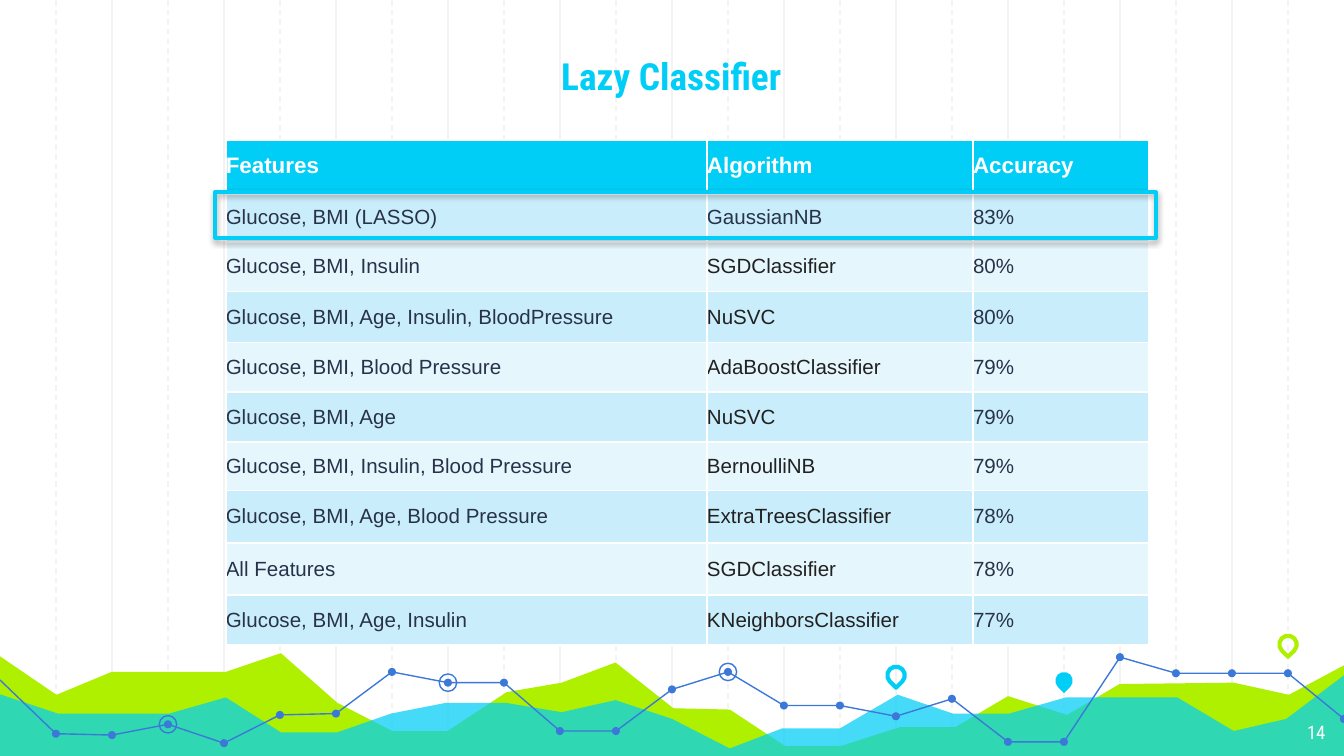
"""Builds the Lazy Classifier results slide."""
from dataclasses import dataclass
from typing import Optional

from lxml.etree import SubElement
from pptx import Presentation
from pptx.dml.color import RGBColor
from pptx.enum.dml import MSO_LINE
from pptx.enum.shapes import MSO_CONNECTOR, MSO_SHAPE
from pptx.enum.text import MSO_ANCHOR, PP_ALIGN
from pptx.oxml.ns import qn
from pptx.util import Inches, Pt

CYAN, LIME, BLUE, WHITE = "00CEF6", "AFF000", "3C78D8", "FFFFFF"
GRID, NAVY, CHARCOAL = "F3F3F3", "28324A", "212121"
BANDS = ("CAEDFB", "E6F6FD")
STEP = 10 / 24
Points = list[tuple[float, float]]


@dataclass
class Area:
    color: str
    base: float
    outline: Points
    alpha: Optional[int] = None


@dataclass
class Pin:
    column: int
    top: float
    color: str
    hollow: bool


@dataclass
class Label:
    text: str
    box: tuple[float, float, float, float]
    size: int
    color: str
    align: PP_ALIGN
    anchor: MSO_ANCHOR
    bold: bool = False
    wrap: bool = True


@dataclass
class Result:
    features: str
    algorithm: str
    accuracy: str


AREAS = [
    Area(LIME, 5.64, [
        (-0.02, 4.87), (0.42, 5.17), (0.83, 5), (1.68, 5), (2.09, 4.86), (2.51, 5.23),
        (2.92, 5.44), (3.33, 5.44), (3.77, 5.15), (4.18, 5.08), (4.58, 4.93), (5.01, 5.27),
        (5.43, 5.28), (5.84, 5.55), (6.26, 5.55), (6.7, 5.41), (7.11, 5.41), (7.5, 5.18),
        (7.94, 5.32), (8.33, 5.09), (9.18, 5.08), (9.59, 5.17), (10.02, 4.94)]),
    Area(CYAN, 5.65, [
        (-0.02, 5.16), (0.43, 5.31), (1.26, 5.31), (1.68, 5.19), (2.09, 5.45), (2.51, 5.45),
        (2.91, 5.31), (3.32, 5.23), (3.76, 5.23), (4.18, 5.3), (4.58, 5.21), (5, 5.35),
        (5.43, 5.57), (5.82, 5.42), (6.25, 5.42), (6.68, 5.17), (7.09, 5.31), (7.51, 5.31),
        (7.93, 5.19), (8.76, 5.19), (9.18, 5.44), (9.57, 5.35), (10.02, 5.01)], 73),
]
TREND = [5.06, 5.46, 5.47, 5.39, 5.53, 5.32, 5.31, 5, 5.08, 5.08, 5.44, 5.44, 5.13,
         5, 5.25, 5.25, 5.33, 5.2, 5.52, 5.52, 4.89, 5.01, 5.01, 5.01, 5.35]
RINGED = (3, 8, 13)
PINS = [Pin(5, 4.65, LIME, False), Pin(16, 4.96, CYAN, True),
        Pin(19, 5, CYAN, False), Pin(23, 4.73, LIME, True)]
LABELS = [
    Label("Lazy Classifier", (1.17, 0.05, 7.65, 0.78), 20, CYAN,
          PP_ALIGN.CENTER, MSO_ANCHOR.BOTTOM, bold=True),
    Label("14", (9.59, 5.28, 0.37, 0.37), 10, WHITE,
          PP_ALIGN.RIGHT, MSO_ANCHOR.TOP, wrap=False),
]
HEADER = Result("Features", "Algorithm", "Accuracy")
RESULTS = [
    Result("Glucose, BMI (LASSO)", "GaussianNB", "83%"),
    Result("Glucose, BMI, Insulin", "SGDClassifier", "80%"),
    Result("Glucose, BMI, Age, Insulin, BloodPressure", "NuSVC", "80%"),
    Result("Glucose, BMI, Blood Pressure", "AdaBoostClassifier", "79%"),
    Result("Glucose, BMI, Age", "NuSVC", "79%"),
    Result("Glucose, BMI, Insulin, Blood Pressure", "BernoulliNB", "79%"),
    Result("Glucose, BMI, Age, Blood Pressure", "ExtraTreesClassifier", "78%"),
    Result("All Features", "SGDClassifier", "78%"),
    Result("Glucose, BMI, Age, Insulin", "KNeighborsClassifier", "77%"),
]
WIDTHS = (3.58, 1.98, 1.31)
HEIGHTS = (0.39, 0.37, 0.37, 0.38, 0.37, 0.37, 0.36, 0.39, 0.39, 0.37)


def paint(target, color: str, alpha: Optional[int] = None) -> None:
    target.solid()
    target.fore_color.rgb = RGBColor.from_string(color)
    if alpha is not None:
        srgb = target._xPr.find(qn("a:solidFill")).find(qn("a:srgbClr"))
        SubElement(srgb, qn("a:alpha"), val=str(alpha * 1000))


def style(shape, fill: Optional[str] = None, line: Optional[str] = None,
          width: float = 0.75, alpha: Optional[int] = None) -> None:
    shape.shadow.inherit = False
    if fill:
        paint(shape.fill, fill, alpha)
    else:
        shape.fill.background()
    if line:
        paint(shape.line.fill, line)
        shape.line.width = Pt(width)
    else:
        shape.line.fill.background()


def add_grid_line(shapes, column: int) -> None:
    x = Inches(column * STEP)
    rule = shapes.add_connector(MSO_CONNECTOR.STRAIGHT, x, 0, x, Inches(5.65))
    paint(rule.line.fill, GRID)
    rule.line.width = Pt(0.75)
    if column % 2:
        rule.line.dash_style = MSO_LINE.DASH
    SubElement(rule._element.spPr, qn("a:effectLst"))


def add_outline(shapes, points: Points, close: bool):
    (x, y), *rest = [(Inches(x), Inches(y)) for x, y in points]
    builder = shapes.build_freeform(x, y)
    builder.add_line_segments(rest, close=close)
    return builder.convert_to_shape()


def add_circle(shapes, column: int, size: float):
    left, top = column * STEP - size / 2, TREND[column] - size / 2
    return shapes.add_shape(MSO_SHAPE.OVAL, Inches(left), Inches(top), Inches(size), Inches(size))


def add_pin(shapes, pin: Pin) -> None:
    drop = shapes.add_shape(MSO_SHAPE.TEAR, Inches(pin.column * STEP - 0.065),
                            Inches(pin.top), Inches(0.13), Inches(0.13))
    drop.rotation = 135
    style(drop, None if pin.hollow else pin.color, pin.color if pin.hollow else None, 2.25)


def format_run(run, size: int, color: str, font: str, bold: bool) -> None:
    run.font.size, run.font.name, run.font.bold = Pt(size), font, bold
    run.font.color.rgb = RGBColor.from_string(color)


def add_label(shapes, label: Label) -> None:
    frame = shapes.add_textbox(*map(Inches, label.box)).text_frame
    frame.text = label.text
    frame.word_wrap, frame.vertical_anchor = label.wrap, label.anchor
    frame.margin_left = frame.margin_right = frame.margin_top = frame.margin_bottom = Inches(0.1)
    frame.paragraphs[0].alignment = label.align
    format_run(frame.paragraphs[0].runs[0], label.size, label.color, "Roboto Condensed", label.bold)


def fill_cell(cell, text: str, row: int, column: int) -> None:
    cell.text = text
    cell.vertical_anchor = MSO_ANCHOR.MIDDLE
    cell.margin_left = cell.margin_right = cell.margin_top = cell.margin_bottom = 0
    ink = WHITE if row == 0 else CHARCOAL if column == 1 and row > 1 else NAVY
    format_run(cell.text_frame.paragraphs[0].runs[0], 11 if row else 12, ink, "Arial", row == 0)
    properties = cell._tc.get_or_add_tcPr()
    for side in ("L", "R", "T", "B"):
        heavy = (row, side) in ((0, "B"), (1, "T"))
        border = SubElement(properties, qn(f"a:ln{side}"), w=str(Pt(3 if heavy else 1)))
        SubElement(SubElement(border, qn("a:solidFill")), qn("a:srgbClr"), val=WHITE)
    paint(cell.fill, BANDS[(row - 1) % 2] if row else CYAN)


def add_results(shapes) -> None:
    table = shapes.add_table(len(HEIGHTS), len(WIDTHS), Inches(1.68), Inches(1.04),
                             Inches(sum(WIDTHS)), Inches(sum(HEIGHTS))).table
    for column, width in enumerate(WIDTHS):
        table.columns[column].width = Inches(width)
    for row, (height, result) in enumerate(zip(HEIGHTS, [HEADER, *RESULTS])):
        table.rows[row].height = Inches(height)
        for column, text in enumerate((result.features, result.algorithm, result.accuracy)):
            fill_cell(table.cell(row, column), text, row, column)


def add_highlight(shapes) -> None:
    frame = shapes.add_shape(MSO_SHAPE.RECTANGLE, Inches(1.6), Inches(1.43), Inches(7), Inches(0.34))
    style(frame, line=CYAN, width=2)
    shadow = SubElement(frame._element.spPr.find(qn("a:effectLst")), qn("a:outerShdw"),
                        blurRad=str(Pt(3)), dist=str(Pt(1.8)), dir="5400000", rotWithShape="0")
    SubElement(SubElement(shadow, qn("a:srgbClr"), val="000000"), qn("a:alpha"), val="35000")


deck = Presentation()
deck.slide_width, deck.slide_height = Inches(10), Inches(10 * 9 / 16)
shapes = deck.slides.add_slide(deck.slide_layouts[6]).shapes
for column in [*range(2, 24, 2), *range(1, 24, 2)]:
    add_grid_line(shapes, column)
for area in AREAS:
    corners = [(10.02, area.base), (-0.03, area.base)]
    style(add_outline(shapes, area.outline + corners, True), area.color, alpha=area.alpha)
for pin in PINS:
    add_pin(shapes, pin)
trend_points = [(column * STEP, y) for column, y in enumerate(TREND)]
for first, last in ((0, 11), (11, 20), (20, 24)):
    style(add_outline(shapes, trend_points[first:last + 1], False), line=BLUE)
for column in range(1, len(TREND)):
    style(add_circle(shapes, column, 0.06), BLUE)
for column in RINGED:
    style(add_circle(shapes, column, 0.13), line=BLUE)
for label in LABELS:
    add_label(shapes, label)
add_results(shapes)
add_highlight(shapes)
deck.save("out.pptx")
